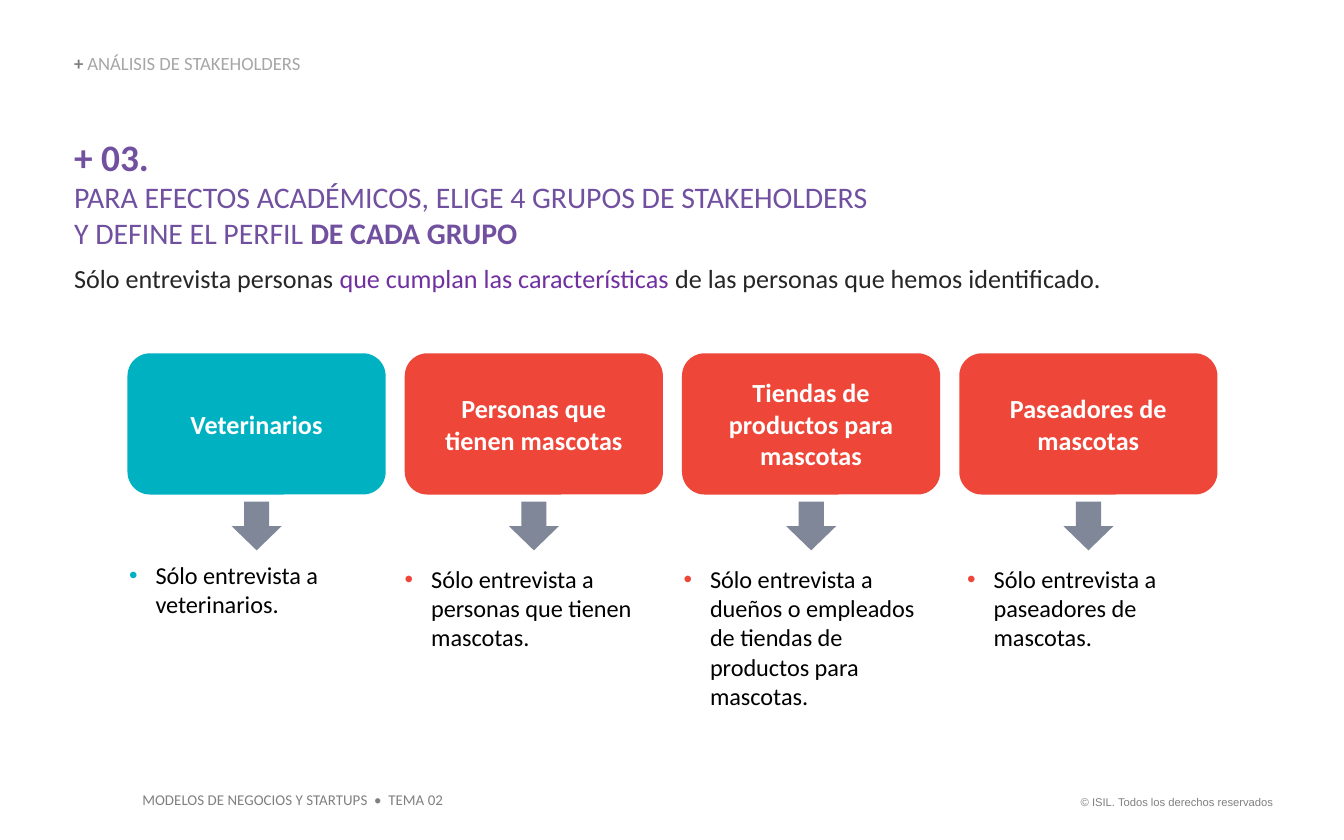
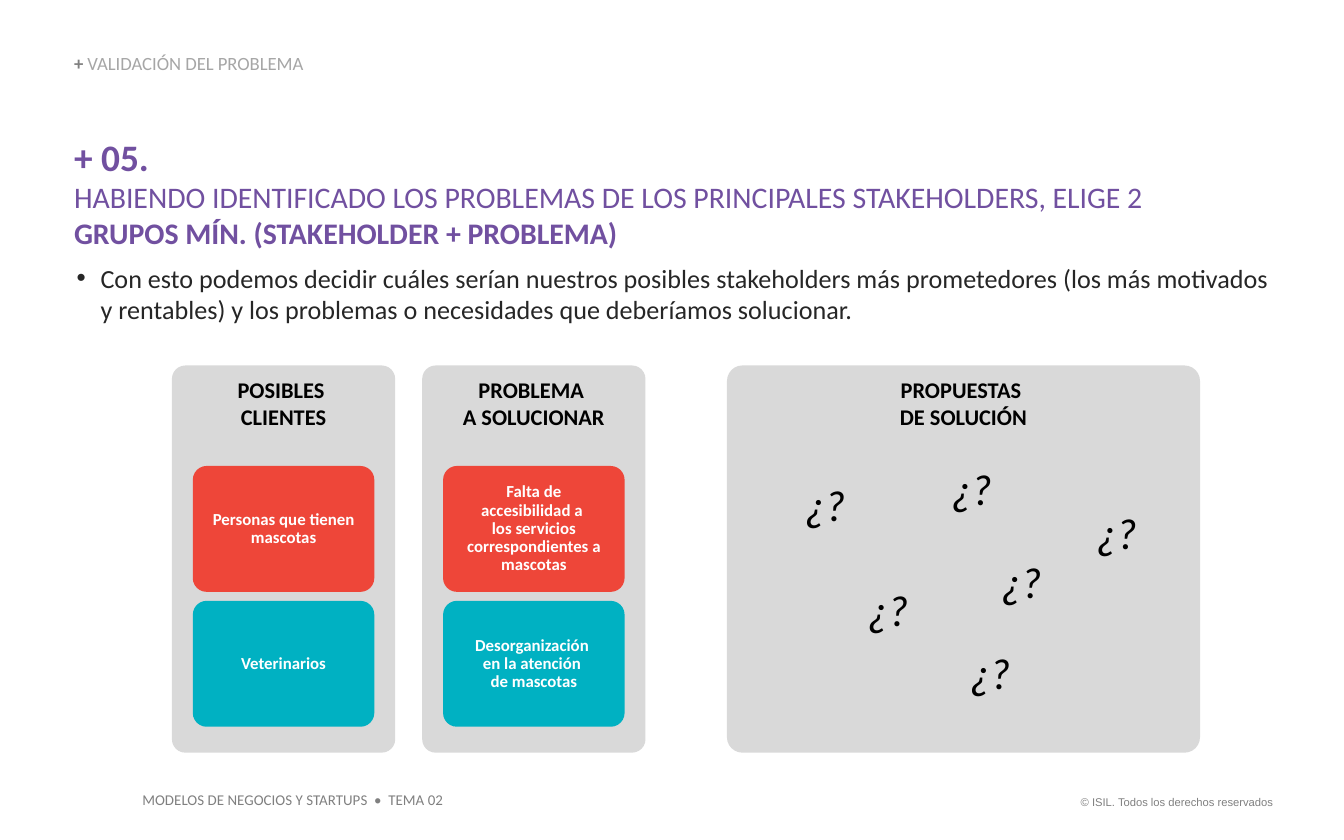
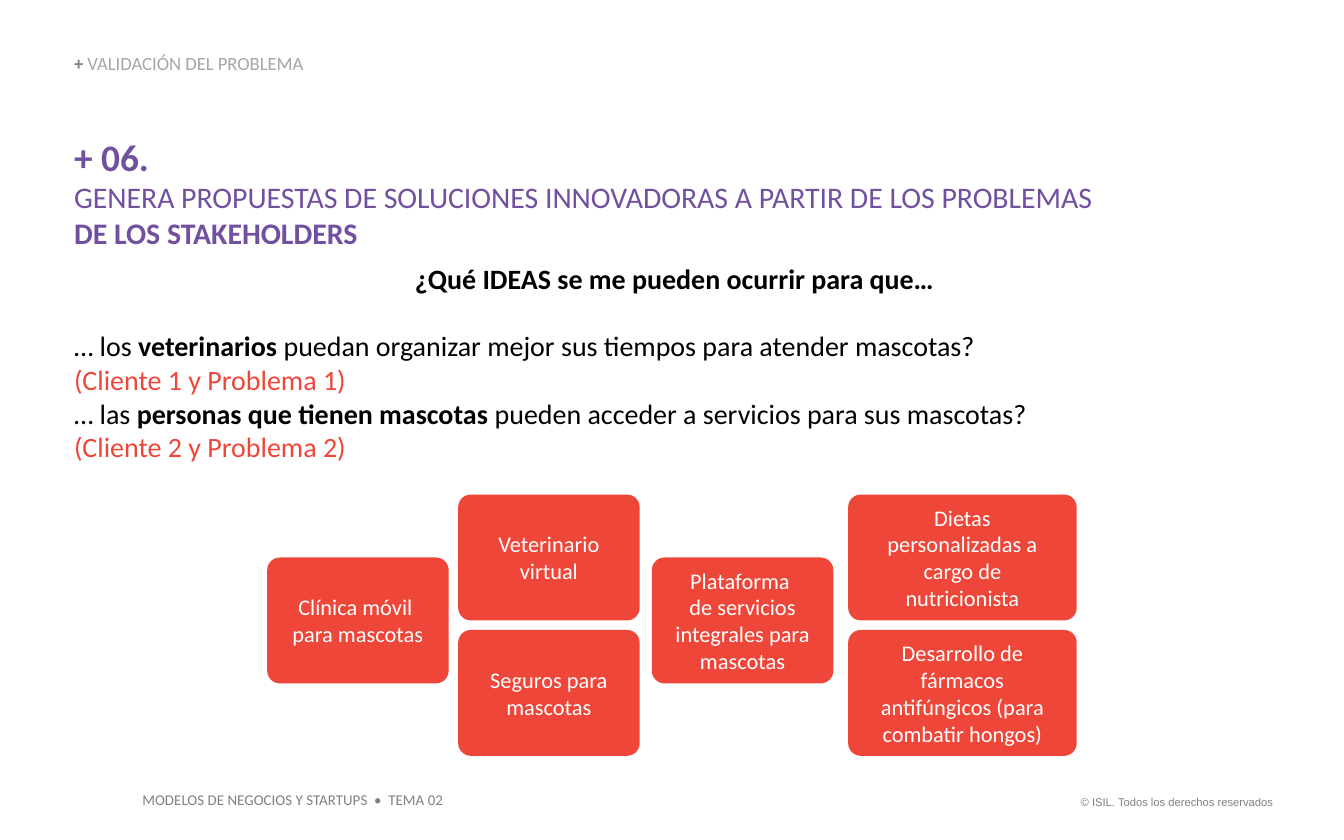
from copy import deepcopy

from lxml.etree import SubElement
from pptx import Presentation
from pptx.dml.color import RGBColor
from pptx.enum.shapes import MSO_SHAPE
from pptx.enum.text import MSO_ANCHOR, MSO_AUTO_SIZE, PP_ALIGN
from pptx.oxml.ns import qn
from pptx.util import Cm, Pt

# Shared colours and measures
WHITE = RGBColor(0xFF, 0xFF, 0xFF)
BLACK = RGBColor(0x00, 0x00, 0x00)
INK = RGBColor(0x26, 0x26, 0x26)
GREY = RGBColor(0x80, 0x80, 0x80)
LIGHT_GREY = RGBColor(0xA6, 0xA6, 0xA6)
PANEL = RGBColor(0xD9, 0xD9, 0xD9)
ARROW = RGBColor(0x80, 0x87, 0x99)
PURPLE = RGBColor(0x71, 0x50, 0xA0)
VIOLET = RGBColor(0x70, 0x30, 0xA0)
TEAL = RGBColor(0x00, 0xB1, 0xC2)
RED = RGBColor(0xEE, 0x46, 0x39)

LEFT, WIDTH = 1.4, 22.7
CARD_W, CARD_H = 3.43, 2.38


# Text helpers
def set_frame(tf, inset=True, anchor=MSO_ANCHOR.TOP, wrap=True, grow=False):
    tf.word_wrap = wrap
    tf.vertical_anchor = anchor
    tf.auto_size = MSO_AUTO_SIZE.SHAPE_TO_FIT_TEXT if grow else MSO_AUTO_SIZE.NONE
    if not inset:
        tf.margin_left = tf.margin_right = tf.margin_top = tf.margin_bottom = 0


def add_bullet(p, color, indent):
    pPr = p._p.get_or_add_pPr()
    pPr.set("marL", str(Cm(0.5)))
    pPr.set("indent", str(-Cm(indent)))
    clr = SubElement(SubElement(pPr, qn("a:buClr")), qn("a:srgbClr"))
    clr.set("val", str(color))
    SubElement(pPr, qn("a:buFont")).set("typeface", "Arial")
    SubElement(pPr, qn("a:buChar")).set("char", "•")


def add_text(tf, *runs, align=PP_ALIGN.LEFT, line=None, before=None, after=None,
             bullet=None, indent=0.5, **base):
    """Add one paragraph; a run is a text or a (text, format) pair."""
    p = tf.paragraphs[0]
    if p.runs:
        p = tf.add_paragraph()
    p.alignment = align
    if line:
        p.line_spacing = line
    if before:
        p.space_before = Pt(before)
    if after:
        p.space_after = Pt(after)
    if bullet is not None:
        add_bullet(p, bullet, indent)
    for run in runs:
        text, own = (run, {}) if isinstance(run, str) else run
        fmt = {**base, **own}
        for i, piece in enumerate(text.split("\n")):
            if i:
                p.add_line_break()
                p._p[-1].append(deepcopy(r._r.rPr))
            if not piece:
                continue
            r = p.add_run()
            r.text = piece
            r.font.name = fmt.get("font", "Calibri")
            r.font.size = Pt(fmt["size"])
            r.font.color.rgb = fmt.get("color", BLACK)
            r.font.bold = fmt.get("bold", False)
            r.font.italic = fmt.get("italic", False)


# Shape helpers
def add_box(s, x, y, w, h, **frame):
    tf = s.shapes.add_textbox(Cm(x), Cm(y), Cm(w), Cm(h)).text_frame
    set_frame(tf, grow=True, **frame)
    return tf


def add_shape(s, kind, x, y, w, h, fill, adj=None):
    sp = s.shapes.add_shape(kind, Cm(x), Cm(y), Cm(w), Cm(h))
    sp.shadow.inherit = False
    sp.fill.solid()
    sp.fill.fore_color.rgb = fill
    sp.line.fill.background()
    if adj is not None:
        sp.adjustments[0] = adj
    return sp


def add_card(s, x, y, w, h, fill, text, adj=0.1, **fmt):
    sp = add_shape(s, MSO_SHAPE.ROUNDED_RECTANGLE, x, y, w, h, fill, adj)
    set_frame(sp.text_frame, anchor=MSO_ANCHOR.MIDDLE)
    add_text(sp.text_frame, text, align=PP_ALIGN.CENTER, color=WHITE, **fmt)


# Parts that every slide has
def new_slide(prs, section, number, *heading, height):
    s = prs.slides.add_slide(prs.slide_layouts[5])
    title = s.shapes.title
    title.left, title.top = Cm(LEFT), Cm(2.54)
    title.width, title.height = Cm(WIDTH), Cm(height)
    set_frame(title.text_frame, inset=False, grow=True)
    add_text(title.text_frame, (f"+ {number}.\n", {"size": 20, "bold": True}),
             *heading, size=16, color=PURPLE, after=6)

    tf = add_box(s, LEFT, 1.04, 10.8, 0.38, inset=False, anchor=MSO_ANCHOR.BOTTOM)
    add_text(tf, ("+ ", {"color": GREY, "bold": True}), section,
             size=10, color=LIGHT_GREY, line=0.9)

    tf = add_box(s, 2.44, 14.83, 6.22, 0.61, wrap=False)
    add_text(tf, "MODELOS DE NEGOCIOS Y STARTUPS  •  TEMA 02", size=8, color=GREY)
    tf = add_box(s, 20.02, 14.91, 4.29, 0.51, wrap=False)
    add_text(tf, "© ISIL. Todos los derechos reservados", size=6, color=GREY,
             font="Arial", align=PP_ALIGN.RIGHT)
    return s


# Slide 1: stakeholder groups
def add_group(s, x, y, color, name, note, note_dx, note_y):
    w, h, arrow_w, arrow_h = 4.88, 2.67, 0.92, 0.95
    add_card(s, x, y, w, h, color, name, adj=0.16, size=14, bold=True)
    arrow = add_shape(s, MSO_SHAPE.RIGHT_ARROW, x + (w - arrow_w) / 2, y + 2.79,
                      arrow_w, arrow_h, ARROW)
    arrow.rotation = 90
    tf = add_box(s, x + note_dx, y + note_y, w, 1.68, inset=False)
    add_text(tf, note, size=13, bullet=color)


def groups_slide(prs):
    s = new_slide(
        prs, "ANÁLISIS DE STAKEHOLDERS", "03",
        "PARA EFECTOS ACADÉMICOS, ELIGE 4 GRUPOS DE STAKEHOLDERS \nY DEFINE EL PERFIL ",
        ("DE CADA GRUPO", {"bold": True}), height=3.02)
    add_text(s.shapes.title.text_frame, "Sólo entrevista personas ",
             ("que cumplan las características", {"color": VIOLET}),
             " de las personas que hemos identificado.", size=14, color=INK)
    groups = [
        (TEAL, "Veterinarios", "Sólo entrevista a veterinarios.", 0.03, 3.91),
        (RED, "Personas que tienen mascotas",
         "Sólo entrevista a personas que tienen mascotas.", 0, 3.99),
        (RED, "Tiendas de productos para mascotas",
         "Sólo entrevista a dueños o empleados de tiendas de productos para mascotas.",
         0.03, 3.99),
        (RED, "Paseadores de mascotas", "Sólo entrevista a paseadores de mascotas.",
         0.15, 3.99),
    ]
    for i, group in enumerate(groups):
        add_group(s, 2.41 + i * 5.24, 6.68, *group)


# Slide 2: clients, problems and proposals
def add_panel(s, x, y, w, heading, adj, cards=()):
    sp = add_shape(s, MSO_SHAPE.ROUNDED_RECTANGLE, x, y, w, 7.32, PANEL, adj)
    set_frame(sp.text_frame)
    for text in heading:
        add_text(sp.text_frame, text, size=12, bold=True, align=PP_ALIGN.CENTER)
    for i, (color, text) in enumerate(cards):
        add_card(s, x + (w - CARD_W) / 2, y + 1.9 + i * 2.55, CARD_W, CARD_H, color,
                 text, adj=0.11, size=9, bold=True, line=0.9)


def add_question_marks(s, x, y):
    spots = [(1.22, 2.01), (2.41, 3.99), (3.99, 1.7),
             (6.73, 2.54), (4.93, 3.45), (4.34, 5.18)]
    for dx, dy in spots:
        tf = add_box(s, x + dx, y + dy, 1.27, 1.24, wrap=False)
        add_text(tf, "¿?", size=23.3, italic=True, align=PP_ALIGN.CENTER)


def problems_slide(prs):
    s = new_slide(
        prs, "VALIDACIÓN DEL PROBLEMA", "05",
        "HABIENDO IDENTIFICADO LOS PROBLEMAS DE LOS PRINCIPALES STAKEHOLDERS, ELIGE 2 \n",
        ("GRUPOS MÍN. (STAKEHOLDER + PROBLEMA)", {"bold": True}), height=3.63)
    add_text(s.shapes.title.text_frame,
             "Con esto podemos decidir cuáles serían nuestros posibles stakeholders más "
             "prometedores (los más motivados y rentables) y los problemas o necesidades "
             "que deberíamos solucionar.", size=14, color=INK, bullet=INK, indent=0.45)
    top, proposals_x = 6.91, 13.74
    add_panel(s, 3.25, top, 4.22, ["POSIBLES ", "CLIENTES"], 0.06,
              [(RED, "Personas que tienen mascotas"), (TEAL, "Veterinarios")])
    add_panel(s, 7.98, top, 4.22, ["PROBLEMA ", "A SOLUCIONAR"], 0.06,
              [(RED, "Falta de accesibilidad a \nlos servicios correspondientes a mascotas"),
               (TEAL, "Desorganización \nen la atención \nde mascotas")])
    add_panel(s, proposals_x, top, 8.94, ["PROPUESTAS \nDE SOLUCIÓN"], 0.04)
    add_question_marks(s, proposals_x, top)


# Slide 3: ideas
def add_questions(s, x, y, w, h):
    sp = add_shape(s, MSO_SHAPE.RECTANGLE, x, y, w, h, WHITE)
    color = sp.fill._xPr.find(qn("a:solidFill"))[0]
    SubElement(color, qn("a:alpha")).set("val", "92000")
    tf = sp.text_frame
    set_frame(tf, inset=False)
    add_text(tf, "¿Qué IDEAS se me pueden ocurrir para que…", size=15, bold=True,
             align=PP_ALIGN.CENTER, after=18)
    questions = [
        ("… los ", "veterinarios",
         " puedan organizar mejor sus tiempos para atender mascotas?"),
        ("… las ", "personas que tienen mascotas",
         " pueden acceder a servicios para sus mascotas?"),
    ]
    for n, (start, who, rest) in enumerate(questions, 1):
        add_text(tf, start, (who, {"bold": True}), rest, size=15)
        add_text(tf, f"(Cliente {n} y Problema {n})", size=15, color=RED)


def add_ideas(s, x, y):
    middle, lower, wide = 1.19, 2.56, 4.32
    ideas = [
        (0, middle, CARD_W, "Clínica móvil \npara mascotas"),
        (3.61, 0, CARD_W, "Veterinario virtual"),
        (3.61, lower, CARD_W, "Seguros para mascotas"),
        (7.27, middle, CARD_W, "Plataforma \nde servicios integrales para mascotas"),
        (10.98, 0, wide, "Dietas personalizadas a cargo de nutricionista"),
        (10.98, lower, wide, "Desarrollo de fármacos antifúngicos (para combatir hongos)"),
    ]
    for dx, dy, w, text in ideas:
        add_card(s, x + dx, y + dy, w, CARD_H, RED, text, size=12)


def ideas_slide(prs):
    s = new_slide(
        prs, "VALIDACIÓN DEL PROBLEMA", "06",
        "GENERA PROPUESTAS DE SOLUCIONES INNOVADORAS A PARTIR DE LOS PROBLEMAS \n",
        ("DE LOS STAKEHOLDERS", {"bold": True}), height=2.24)
    add_questions(s, LEFT, 4.95, WIDTH, 3.89)
    add_ideas(s, 5.05, 9.35)


def main():
    prs = Presentation()
    prs.slide_width, prs.slide_height = Cm(25.4), Cm(15.88)
    groups_slide(prs)
    problems_slide(prs)
    ideas_slide(prs)
    prs.save("out.pptx")


if __name__ == "__main__":
    main()
